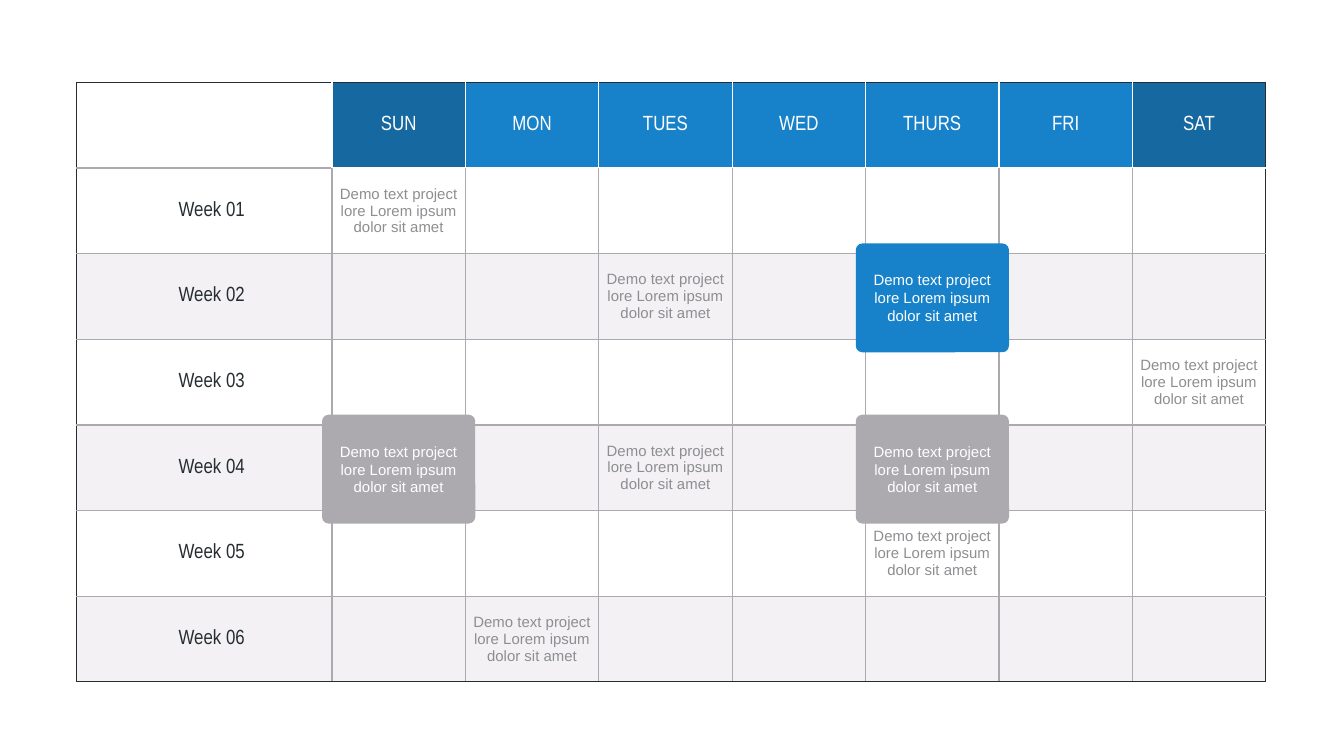
"""Build a six-week calendar table with three highlighted cards."""
import lxml.etree
import pptx
import pptx.dml.color
import pptx.enum.shapes
import pptx.enum.text
import pptx.oxml.ns
import pptx.util

inch = pptx.util.Inches
qn = pptx.oxml.ns.qn
node = lxml.etree.SubElement

DARK, GREY, WHITE = "252D30", "ACA9AF", "FFFFFF"
BLUE, NAVY, BAND, SOFT = "1782CA", "1668A1", "E8E5E9", "8C8E91"
DEMO = "Demo text project lore Lorem ipsum dolor sit amet"


def hue(code):
    return pptx.dml.color.RGBColor.from_string(code)


def write(frame, text, size, face, code):
    para = frame.paragraphs[0]
    para.text = text
    para.alignment = pptx.enum.text.PP_ALIGN.CENTER
    para.font.size = pptx.util.Pt(size)
    para.font.name = face
    para.font.color.rgb = hue(code)


page = 10
tall = page * 9 / 16
deck = pptx.Presentation()
deck.slide_width, deck.slide_height = inch(page), inch(tall)
slide = deck.slides.add_slide(deck.slide_layouts[6])

days = ["SUN", "MON", "TUES", "WED", "THURS", "FRI", "SAT"]
left, top, wide, high = 0.57, tall * 0.11 - 0.005, 8.85, 4.46
head = 1.9
col = (wide - head) / len(days)
row = high / 7
demos = {(1, 1), (2, 3), (3, 7), (4, 3), (5, 5), (6, 2)}

grid = slide.shapes.add_table(
    7, 8, inch(left), inch(top), inch(wide), inch(high)).table
grid.first_row = grid.horz_banding = False
for c in range(8):
    grid.columns[c].width = inch(col if c else head)
for r in range(7):
    grid.rows[r].height = inch(row)

for r in range(7):
    for c in range(8):
        cell = grid.cell(r, c)
        cell.vertical_anchor = pptx.enum.text.MSO_ANCHOR.MIDDLE
        cell.margin_left = inch(0.15 if r and not c else 0.04)
        cell.margin_right = inch(0.04)
        cell.margin_top = cell.margin_bottom = inch(0.02)

        side = GREY if r else WHITE
        edges = {
            "lnL": side if c else DARK,
            "lnR": DARK if c == 7 else side,
            "lnT": DARK if r == 0 else WHITE if r == 1 and c else GREY,
            "lnB": DARK if r == 6 else WHITE if r == 0 and c else GREY,
        }
        props = cell._tc.get_or_add_tcPr()
        for tag, code in edges.items():
            line = node(props, qn("a:" + tag), w=str(pptx.util.Pt(0.75)))
            node(node(line, qn("a:solidFill")), qn("a:srgbClr"), val=code)

        if r == 0 and c:
            cell.fill.solid()
            cell.fill.fore_color.rgb = hue(NAVY if c in (1, 7) else BLUE)
            write(cell.text_frame, days[c - 1], 11, "Arial Narrow", WHITE)
        elif r and r % 2 == 0:
            cell.fill.solid()
            cell.fill.fore_color.rgb = hue(BAND)
            tint = props.find(qn("a:solidFill")).find(qn("a:srgbClr"))
            node(tint, qn("a:alpha"), val="50000")
        else:
            cell.fill.background()

        if r and c == 0:
            write(cell.text_frame, f"Week {r:02}", 11, "Arial Narrow", DARK)
        elif (r, c) in demos:
            write(cell.text_frame, DEMO, 8, "Arial", SOFT)

wide, high, drop = 1.14, 0.81, 0.01
for r, c, code in [(2, 5, BLUE), (4, 1, GREY), (4, 5, GREY)]:
    x = left + head + (c - 0.5) * col - wide / 2
    y = top + (r + 0.5) * row - high / 2 + drop
    card = slide.shapes.add_shape(
        pptx.enum.shapes.MSO_SHAPE.ROUNDED_RECTANGLE,
        inch(x), inch(y), inch(wide), inch(high))
    card.adjustments[0] = 0.06
    card.shadow.inherit = False
    card.fill.solid()
    card.fill.fore_color.rgb = hue(code)
    card.line.fill.background()
    frame = card.text_frame
    frame.word_wrap = True
    frame.vertical_anchor = pptx.enum.text.MSO_ANCHOR.MIDDLE
    frame.margin_left = frame.margin_right = inch(0.02)
    frame.margin_top = frame.margin_bottom = inch(0.02)
    write(frame, DEMO, 8, "Arial", WHITE)

deck.save("out.pptx")
